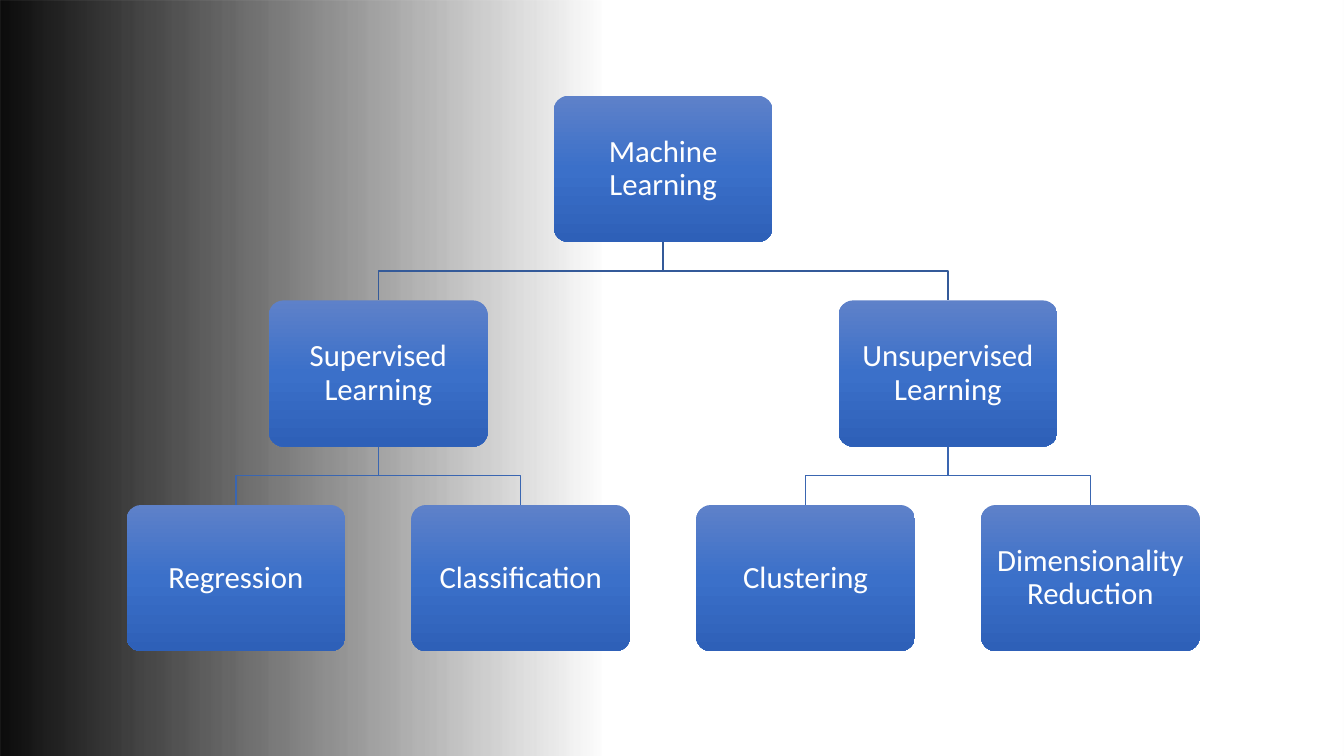
from lxml import etree
from pptx import Presentation
from pptx.dml.color import RGBColor
from pptx.enum.shapes import MSO_SHAPE
from pptx.enum.text import MSO_ANCHOR, PP_ALIGN
from pptx.oxml.ns import qn
from pptx.util import Inches, Pt

RECT, ROUNDED = MSO_SHAPE.RECTANGLE, MSO_SHAPE.ROUNDED_RECTANGLE
MIDDLE, CENTER = MSO_ANCHOR.MIDDLE, PP_ALIGN.CENTER

# Each node is (label, children)
TREE = ("Machine Learning", [
    ("Supervised Learning", [("Regression", []), ("Classification", [])]),
    ("Unsupervised Learning", [("Clustering", []), ("Dimensionality Reduction", [])]),
])
# Gradient stops are (position %, colour, opacity %)
SHADE = [(0, "0C0C0C", 100), (45, "0C0C0C", 0), (100, "0C0C0C", 0)]
BLUE = [(0, "5E81C9", 100), (50, "3B70C9", 100), (100, "2E60B8", 100)]
LINK_COLORS = ["345A99", "3A66B1"]  # by level of the parent

SLIDE_W, SLIDE_H = 13.33, 7.5
BOX_W, BOX_H = 2.17, 1.45
FIRST_LEAF_X, LEAF_STEP = 2.34, 2.825  # centres of the bottom row
TOP, LEVEL_STEP = 0.95, 2.03
INSET = 0.09


def rgb(color):
    return RGBColor.from_string(color)


def fill_gradient(sp, stops, angle):
    """Fill with stops; angle runs counter-clockwise from left-to-right."""
    sp.fill.gradient()
    sp.fill.gradient_angle = angle
    stop_list = sp._element.spPr.find(qn("a:gradFill")).find(qn("a:gsLst"))
    for old in list(stop_list):
        stop_list.remove(old)
    for pos, color, opacity in stops:
        gs = etree.SubElement(stop_list, qn("a:gs"), pos=str(pos * 1000))
        clr = etree.SubElement(gs, qn("a:srgbClr"), val=color)
        if opacity < 100:
            etree.SubElement(clr, qn("a:alpha"), val=str(opacity * 1000))


def add_gradient_shape(kind, x, y, w, h, stops, angle):
    sp = slide.shapes.add_shape(kind, Inches(x), Inches(y), Inches(w), Inches(h))
    sp.shadow.inherit = False
    sp.line.fill.background()
    fill_gradient(sp, stops, angle)
    return sp


def add_box(label, center, top):
    sp = add_gradient_shape(ROUNDED, center - BOX_W / 2, top, BOX_W, BOX_H, BLUE, 270)
    sp.adjustments[0] = 0.1
    tf = sp.text_frame
    tf.word_wrap = True
    tf.vertical_anchor = MIDDLE
    tf.margin_left = tf.margin_right = tf.margin_top = tf.margin_bottom = Inches(INSET)
    p = tf.paragraphs[0]
    p.text = label
    p.alignment = CENTER
    p.line_spacing = 0.9
    p.font.name = "Calibri"
    p.font.size = Pt(22)
    p.font.color.rgb = rgb("FFFFFF")


def add_link(parent_x, child_x, top, bottom, color):
    middle = (top + bottom) / 2
    points = [(parent_x, top), (parent_x, middle), (child_x, middle), (child_x, bottom)]
    start, *rest = [(Inches(x), Inches(y)) for x, y in points]
    builder = slide.shapes.build_freeform(*start)
    builder.add_line_segments(rest, close=False)
    sp = builder.convert_to_shape()
    sp.shadow.inherit = False
    sp.fill.background()
    sp.line.color.rgb = rgb(color)
    sp.line.width = Pt(1)


def draw_node(node, leaf_centers, level=0):
    """Draw a subtree and return the centre of its top box."""
    label, children = node
    top = TOP + level * LEVEL_STEP
    centers = [draw_node(child, leaf_centers, level + 1) for child in children]
    center = sum(centers) / len(centers) if centers else next(leaf_centers)
    for child_center in centers:
        add_link(center, child_center, top + BOX_H, top + LEVEL_STEP, LINK_COLORS[level])
    add_box(label, center, top)
    return center


prs = Presentation()
prs.slide_width, prs.slide_height = Inches(SLIDE_W), Inches(SLIDE_H)
slide = prs.slides.add_slide(prs.slide_layouts[6])
add_gradient_shape(RECT, 0, 0, SLIDE_W, SLIDE_H, SHADE, 0)
draw_node(TREE, (FIRST_LEAF_X + i * LEAF_STEP for i in range(4)))
prs.save("out.pptx")
